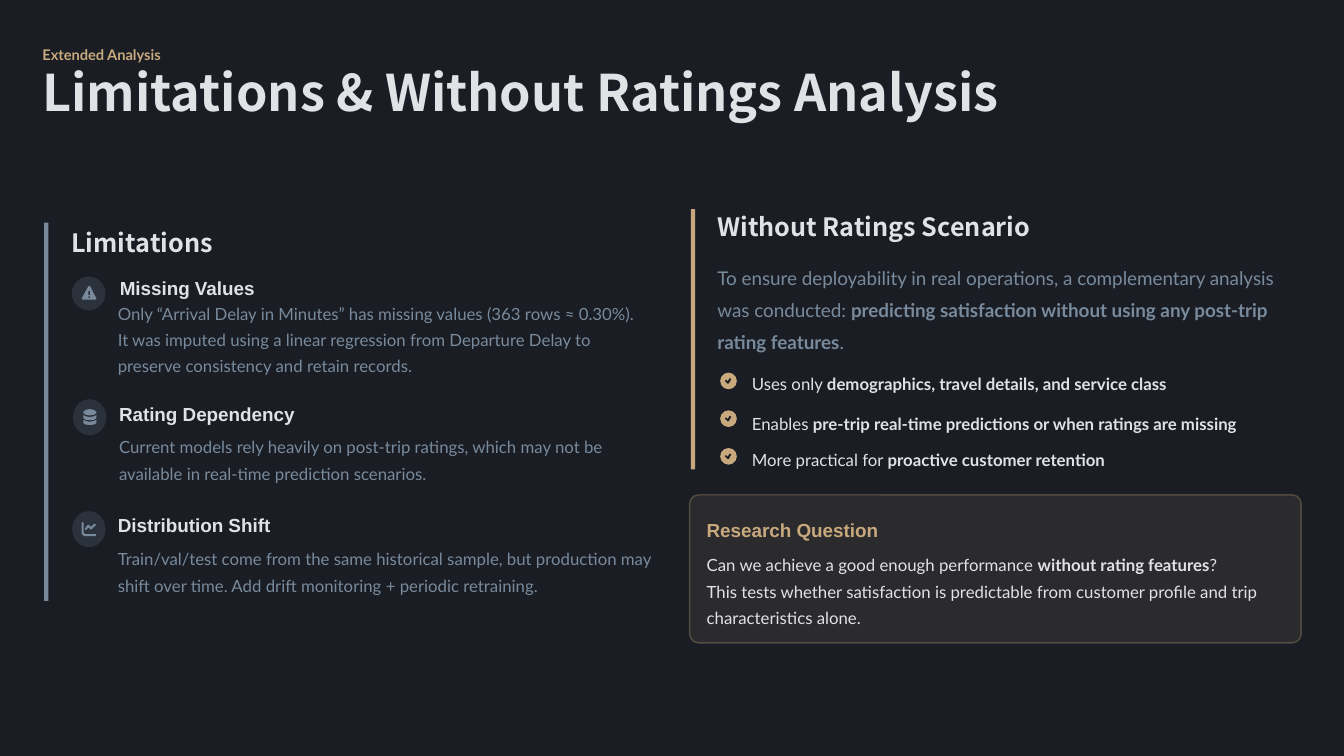
from dataclasses import dataclass
from typing import NamedTuple, Optional

import pptx
import pptx.dml.color
import pptx.enum.shapes
import pptx.enum.text
import pptx.oxml
import pptx.oxml.ns
import pptx.shapes.autoshape
import pptx.slide
import pptx.util
from pptx.util import Cm


class TextStyle(NamedTuple):
    font: str
    size: float
    color: str
    spacing: float
    bold: bool = False


@dataclass(frozen=True)
class Theme:
    background: str = "1A1D24"
    light: str = "E0E2E6"
    slate: str = "788A9C"
    gold: str = "C8A97E"
    eyebrow: TextStyle = TextStyle("Lato", 10.5, gold, 1.2, True)
    title: TextStyle = TextStyle("Noto Sans CJK SC", 36, light, 0.8, True)
    section: TextStyle = TextStyle("Noto Sans CJK SC", 18, light, 1.1, True)
    item_heading: TextStyle = TextStyle("Arial", 13.5, light, 1.3, True)
    card_heading: TextStyle = TextStyle("Arial", 13.5, gold, 1.3, True)
    intro: TextStyle = TextStyle("Lato", 13.5, slate, 1.4)
    muted: TextStyle = TextStyle("Lato", 12, slate, 1.3)
    body: TextStyle = TextStyle("Lato", 12, light, 1.3)


class Box(NamedTuple):
    """Left, top, width and height in centimetres."""
    left: float
    top: float
    width: float
    height: float


Contour = list[tuple[int, int]]


class Limitation(NamedTuple):
    badge: Box
    icon: list[Contour]
    icon_left: float
    icon_top: float
    heading: str
    heading_box: Box
    text: str
    text_box: Box


class Benefit(NamedTuple):
    text: str
    text_top: float


THEME = Theme()
SHAPE = pptx.enum.shapes.MSO_SHAPE

# Icon outlines in hundredths of a centimetre
WARNING: list[Contour] = [
    [(17, 0), (21, 0), (37, 31), (35, 34), (2, 34), (0, 31)],
    [(17, 12), (21, 12), (21, 23), (17, 23)],
    [(17, 26), (21, 26), (21, 30), (17, 30)],
]
DISK_BAND: Contour = [(0, 15), (6, 18), (16, 20), (27, 18), (33, 15),
                      (33, 23), (27, 27), (16, 28), (6, 27), (0, 23)]
DATABASE: list[Contour] = [
    [(0, 7), (6, 2), (16, 0), (27, 2), (33, 7),
     (33, 10), (27, 14), (16, 16), (6, 14), (0, 10)],
    DISK_BAND,
    [(x, y + 12) for x, y in DISK_BAND],
]
LINE_CHART: list[Contour] = [
    [(0, 3), (2, 0), (5, 3), (5, 28), (8, 31), (35, 31), (37, 33), (35, 36),
     (6, 36), (0, 30)],
    [(8, 17), (15, 8), (19, 8), (23, 13), (31, 5), (36, 6), (35, 9),
     (25, 19), (22, 19), (17, 14), (12, 20), (9, 20)],
]
CHECK: list[Contour] = [
    [(12, 20), (15, 18), (19, 22), (24, 14), (28, 16), (22, 27), (19, 28), (13, 22)],
]

LIMITATIONS = [
    Limitation(
        Box(1.81, 6.97, 0.85, 0.85), WARNING, 2.06, 7.21,
        "Missing Values", Box(3.02, 6.81, 13.79, 0.74),
        "Only “Arrival Delay in Minutes” has missing values (363 rows ≈ 0.30%). \n"
        "It was imputed using a linear regression from Departure Delay to "
        "preserve consistency and retain records.", Box(2.97, 7.59, 13.41, 1.8)),
    Limitation(
        Box(1.84, 10.06, 0.84, 0.91), DATABASE, 2.1, 10.31,
        "Rating Dependency", Box(3, 9.96, 13.79, 0.79),
        "Current models rely heavily on post-trip ratings, which may not be "
        "available in real-time prediction scenarios.", Box(3, 10.85, 13.77, 1.35)),
    Limitation(
        Box(1.82, 12.88, 0.84, 0.91), LINE_CHART, 2.06, 13.15,
        "Distribution Shift", Box(2.97, 12.75, 13.79, 0.79),
        "Train/val/test come from the same historical sample, but production may "
        "shift over time. Add drift monitoring + periodic retraining.",
        Box(2.97, 13.67, 13.77, 1.35)),
]
BENEFITS = [
    Benefit("Uses only **demographics, travel details, and service class**", 9.27),
    Benefit("Enables **pre-trip real-time predictions or when ratings are missing**", 10.28),
    Benefit("More practical for **proactive customer retention**", 11.18),
]


def rgb(color: str) -> pptx.dml.color.RGBColor:
    return pptx.dml.color.RGBColor.from_string(color)


def set_alpha(fill_parent, percent: int) -> None:
    color = fill_parent.find(".//" + pptx.oxml.ns.qn("a:srgbClr"))
    color.append(pptx.oxml.parse_xml(
        f'<a:alpha {pptx.oxml.ns.nsdecls("a")} val="{percent * 1000}"/>'))


def paint(shape: pptx.shapes.autoshape.Shape, color: str, alpha: Optional[int] = None) -> None:
    shape.shadow.inherit = False
    shape.fill.solid()
    shape.fill.fore_color.rgb = rgb(color)
    shape.line.fill.background()
    if alpha is not None:
        set_alpha(shape.fill._xPr, alpha)


def add_filled(slide: pptx.slide.Slide, kind: SHAPE, box: Box, color: str,
               alpha: Optional[int] = None) -> pptx.shapes.autoshape.Shape:
    shape = slide.shapes.add_shape(kind, *map(Cm, box))
    paint(shape, color, alpha)
    return shape


def add_icon(slide: pptx.slide.Slide, contours: list[Contour], left: float, top: float,
             color: str) -> None:
    builder = slide.shapes.build_freeform(*contours[0][0], scale=Cm(0.01))
    for index, contour in enumerate(contours):
        if index:
            builder.move_to(*contour[0])
        builder.add_line_segments(contour[1:], close=True)
    paint(builder.convert_to_shape(Cm(left), Cm(top)), color)


def add_text(slide: pptx.slide.Slide, text: str, box: Box, style: TextStyle) -> None:
    """Write text; ** switches bold on and off, a newline breaks the line."""
    frame = slide.shapes.add_textbox(*map(Cm, box)).text_frame
    frame.word_wrap = True
    frame.vertical_anchor = pptx.enum.text.MSO_ANCHOR.MIDDLE
    frame.margin_left = frame.margin_right = frame.margin_top = frame.margin_bottom = 0
    paragraph = frame.paragraphs[0]
    paragraph.line_spacing = style.spacing
    paragraph.font.name = style.font
    paragraph.font.size = pptx.util.Pt(style.size)
    paragraph.font.color.rgb = rgb(style.color)
    paragraph.font.bold = style.bold
    for index, part in enumerate(text.split("**")):
        for line_index, line in enumerate(part.split("\n")):
            if line_index:
                paragraph.add_line_break()
            if line:
                run = paragraph.add_run()
                run.text = line
                if index % 2:
                    run.font.bold = True


def main() -> None:
    presentation = pptx.Presentation()
    presentation.slide_width, presentation.slide_height = Cm(33.87), Cm(19.05)
    slide = presentation.slides.add_slide(presentation.slide_layouts[6])
    slide.background.fill.solid()
    slide.background.fill.fore_color.rgb = rgb(THEME.background)

    # Title
    add_text(slide, "Extended Analysis", Box(1.07, 1.07, 31.93, 0.53), THEME.eyebrow)
    add_text(slide, "Limitations & Without Ratings Analysis",
             Box(1.07, 1.8, 32.39, 1.27), THEME.title)

    # Limitations column
    add_filled(slide, SHAPE.RECTANGLE, Box(1.11, 5.61, 0.11, 9.53), THEME.slate)
    add_text(slide, "Limitations", Box(1.8, 5.64, 15.04, 0.84), THEME.section)
    for item in LIMITATIONS:
        add_filled(slide, SHAPE.OVAL, item.badge, THEME.slate, alpha=20)
        add_icon(slide, item.icon, item.icon_left, item.icon_top, THEME.slate)
        add_text(slide, item.heading, item.heading_box, THEME.item_heading)
        add_text(slide, item.text, item.text_box, THEME.muted)

    # Scenario column
    add_filled(slide, SHAPE.RECTANGLE, Box(17.41, 5.27, 0.11, 6.56), THEME.gold)
    add_text(slide, "Without Ratings Scenario", Box(18.08, 5.26, 15.04, 0.84), THEME.section)
    add_text(slide, "To ensure deployability in real operations, a complementary analysis was "
             "conducted: **predicting satisfaction without using any post-trip rating features**.",
             Box(18.08, 6.53, 14.2, 2.34), THEME.intro)
    for index, benefit in enumerate(BENEFITS):
        check_top = 9.39 + 0.95 * index
        add_filled(slide, SHAPE.OVAL, Box(18.15, check_top, 0.42, 0.42), THEME.gold)
        add_icon(slide, CHECK, 18.15, check_top, THEME.background)
        add_text(slide, benefit.text, Box(18.95, benefit.text_top, 12.8, 0.64), THEME.body)

    # Research question card
    card = add_filled(slide, SHAPE.ROUNDED_RECTANGLE, Box(17.38, 12.47, 15.41, 3.73),
                      THEME.gold, alpha=10)
    card.adjustments[0] = 0.06
    card.line.color.rgb = rgb(THEME.gold)
    card.line.width = pptx.util.Pt(1)
    set_alpha(card.line._ln, 30)
    add_text(slide, "Research Question", Box(17.81, 12.9, 14.78, 0.74), THEME.card_heading)
    add_text(slide, "Can we achieve a good enough performance **without rating features**? \n"
             "This tests whether satisfaction is predictable from customer profile and trip "
             "characteristics alone.", Box(17.81, 13.87, 14.76, 1.91), THEME.body)

    presentation.save("out.pptx")


if __name__ == "__main__":
    main()
